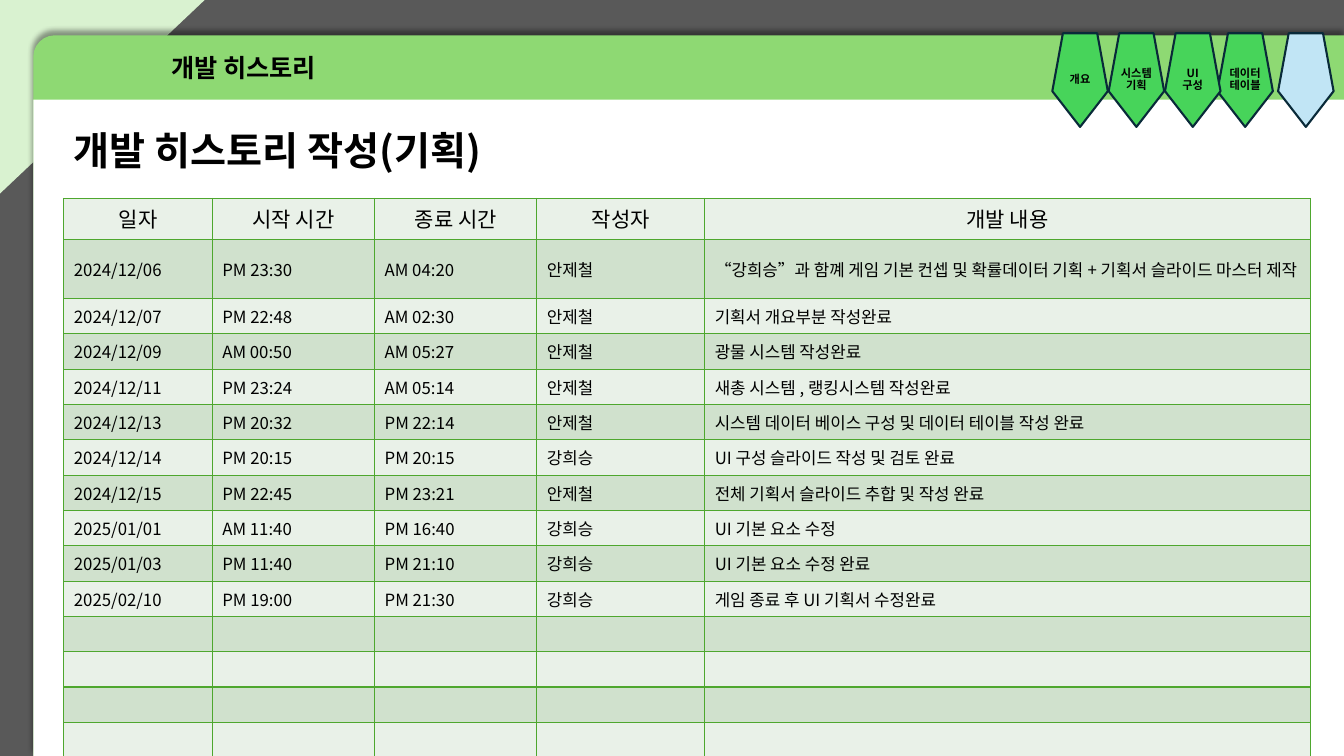
import pptx
import pptx.dml.color
import pptx.enum.shapes
import pptx.enum.text
import pptx.oxml
import pptx.oxml.ns
import pptx.util
from pptx.util import Cm

RGBColor = pptx.dml.color.RGBColor
SHAPE = pptx.enum.shapes.MSO_SHAPE
ANCHOR = pptx.enum.text.MSO_ANCHOR
ALIGN = pptx.enum.text.PP_ALIGN

BLACK = RGBColor(0x00, 0x00, 0x00)
WHITE = RGBColor(0xFF, 0xFF, 0xFF)
GRAY = RGBColor(0x59, 0x59, 0x59)
PALE_GREEN = RGBColor(0xD9, 0xF2, 0xD0)
BAND_GREEN = RGBColor(0x8E, 0xD9, 0x73)
TAB_GREEN = RGBColor(0x47, 0xD4, 0x5A)
TAB_BLUE = RGBColor(0xC1, 0xE5, 0xF5)
TAB_OUTLINE = RGBColor(0x09, 0x2A, 0x39)
TITLE_OUTLINE = RGBColor(0x92, 0xD0, 0x50)
GRID_GREEN = RGBColor(0x4E, 0xA7, 0x2E)
ROW_FILLS = (RGBColor(0xE9, 0xF1, 0xE8), RGBColor(0xD0, 0xE1, 0xCD))

FONT = "Noto Sans CJK KR"
SLIDE_WIDTH, SLIDE_HEIGHT = 33.87, 19.05
PANEL_LEFT, PANEL_TOP, BAND_BOTTOM = 0.84, 0.89, 2.51
TAB_TOP, TAB_WIDTH, TAB_HEIGHT = 0.84, 1.4, 2.36

# left edge, label, label width
TABS = [
    (26.52, "개요", 1.22),
    (27.94, "시스템기획", 1.47),
    (29.36, "UI\n구성", 1.22),
    (30.68, "데이터테이블", 1.47),
]
EMPTY_TAB_LEFT = 32.21

COLUMN_WIDTHS = (3.74, 4.09, 4.09, 4.23, 15.27)
HEADER_HEIGHT, ROW_HEIGHT = 1.04, 0.89
EMPTY_ROWS = 4
HEADERS = ("일자", "시작 시간", "종료 시간", "작성자", "개발 내용")
HISTORY = [
    ("2024/12/06", "PM 23:30", "AM 04:20", "안제철",
     "“강희승”과 함꼐 게임 기본 컨셉 및 확률데이터 기획 + 기획서 슬라이드 마스터 제작"),
    ("2024/12/07", "PM 22:48", "AM 02:30", "안제철", "기획서 개요부분 작성완료"),
    ("2024/12/09", "AM 00:50", "AM 05:27", "안제철", "광물 시스템 작성완료"),
    ("2024/12/11", "PM 23:24", "AM 05:14", "안제철", "새총 시스템 , 랭킹시스템 작성완료"),
    ("2024/12/13", "PM 20:32", "PM 22:14", "안제철",
     "시스템 데이터 베이스 구성 및 데이터 테이블 작성 완료"),
    ("2024/12/14", "PM 20:15", "PM 20:15", "강희승", "UI 구성 슬라이드 작성 및 검토 완료"),
    ("2024/12/15", "PM 22:45", "PM 23:21", "안제철", "전체 기획서 슬라이드 추합 및 작성 완료"),
    ("2025/01/01", "AM 11:40", "PM 16:40", "강희승", "UI 기본 요소 수정"),
    ("2025/01/03", "PM 11:40", "PM 21:10", "강희승", "UI 기본 요소 수정 완료"),
    ("2025/02/10", "PM 19:00", "PM 21:30", "강희승", "게임 종료 후 UI 기획서 수정완료"),
]


def add_xml(parent, xml):
    """Append an element written with the a: prefix."""
    head, rest = xml.split(" ", 1)
    namespace = pptx.oxml.ns.nsdecls("a")
    element = pptx.oxml.parse_xml(f"{head} {namespace} {rest}")
    parent.append(element)


def add_panel(slide, preset, left, top, width, height, fill, flip=None):
    shape = slide.shapes.add_shape(preset, Cm(left), Cm(top), Cm(width), Cm(height))
    shape.shadow.inherit = False
    shape.fill.solid()
    shape.fill.fore_color.rgb = fill
    shape.line.fill.background()
    if flip:
        shape._element.spPr.xfrm.set(flip, "1")
    return shape


def add_tab(slide, left, fill):
    tab = add_panel(slide, SHAPE.REGULAR_PENTAGON, left, TAB_TOP, TAB_WIDTH,
                    TAB_HEIGHT, fill, "flipV")
    tab.line.color.rgb = TAB_OUTLINE
    tab.line.width = pptx.util.Pt(1.5)


def add_backdrop(slide):
    add_panel(slide, SHAPE.RECTANGLE, 0, 0, SLIDE_WIDTH, SLIDE_HEIGHT, GRAY)
    add_panel(slide, SHAPE.RIGHT_TRIANGLE, 0, 0, 5.16, 4.88, PALE_GREEN, "flipV")
    width = SLIDE_WIDTH - PANEL_LEFT
    band = add_panel(slide, SHAPE.ROUND_1_RECTANGLE, PANEL_LEFT, PANEL_TOP, width,
                     SLIDE_HEIGHT - PANEL_TOP, BAND_GREEN, "flipH")
    band.adjustments[0] = 0.03
    effects = band._element.spPr.find(pptx.oxml.ns.qn("a:effectLst"))
    add_xml(effects, '<a:outerShdw blurRad="50800" dist="38100" dir="16200000">'
                     '<a:srgbClr val="000000"><a:alpha val="40000"/></a:srgbClr>'
                     '</a:outerShdw>')
    add_panel(slide, SHAPE.RECTANGLE, PANEL_LEFT, BAND_BOTTOM, width,
              SLIDE_HEIGHT - BAND_BOTTOM, WHITE)


def format_paragraph(paragraph, size, bold=False, alignment=ALIGN.LEFT):
    paragraph.alignment = alignment
    font = paragraph.font
    font.name = FONT
    font.size = pptx.util.Pt(size)
    font.bold = bold
    font.color.rgb = BLACK
    add_xml(font._element, f'<a:ea typeface="{FONT}"/>')


def fill_text(shape, text, size, alignment=ALIGN.CENTER, anchor=ANCHOR.MIDDLE):
    """Write one bold paragraph with the spacing shared by all headings."""
    frame = shape.text_frame
    frame.word_wrap = True
    frame.auto_size = pptx.enum.text.MSO_AUTO_SIZE.NONE
    frame.vertical_anchor = anchor
    paragraph = frame.paragraphs[0]
    paragraph.text = text
    paragraph.line_spacing = 0.9
    paragraph.space_before = pptx.util.Pt(10)
    format_paragraph(paragraph, size, True, alignment)


def add_label(slide, left, top, width, height, text, size):
    box = slide.shapes.add_textbox(Cm(left), Cm(top), Cm(width), Cm(height))
    fill_text(box, text, size)


def place_title(slide, text):
    title = slide.shapes.title
    title.left, title.top, title.width, title.height = Cm(1.6), Cm(3.2), Cm(12.04), Cm(1.4)
    fill_text(title, text, 28, ALIGN.LEFT, ANCHOR.TOP)
    properties = title.text_frame.paragraphs[0].runs[0].font._element
    add_xml(properties, f'<a:ln w="9525"><a:solidFill><a:srgbClr val="{TITLE_OUTLINE}"/>'
                        '</a:solidFill></a:ln>')
    slide.shapes._spTree.append(title._element)  # in front of the backdrop


def format_cell(cell, text, fill, is_header):
    size = 15 if is_header else 12
    paragraph = cell.text_frame.paragraphs[0]
    paragraph.text = text
    format_paragraph(paragraph, size, alignment=ALIGN.CENTER if is_header else ALIGN.LEFT)
    if not text:
        paragraph._p.get_or_add_endParaRPr().set("sz", str(size * 100))
    cell.vertical_anchor = ANCHOR.TOP if is_header else ANCHOR.MIDDLE
    for side in "LRTB":
        add_xml(cell._tc.get_or_add_tcPr(),
                f'<a:ln{side} w="12700"><a:solidFill><a:srgbClr val="{GRID_GREEN}"/>'
                f'</a:solidFill></a:ln{side}>')
    cell.fill.solid()
    cell.fill.fore_color.rgb = fill


def add_history_table(slide):
    rows = [HEADERS] + HISTORY + [("",) * len(HEADERS)] * EMPTY_ROWS
    height = HEADER_HEIGHT + ROW_HEIGHT * (len(rows) - 1)
    table = slide.shapes.add_table(len(rows), len(HEADERS), Cm(1.61), Cm(5),
                                   Cm(sum(COLUMN_WIDTHS)), Cm(height)).table
    table.first_row = table.horz_banding = False
    for column, width in zip(table.columns, COLUMN_WIDTHS):
        column.width = Cm(width)
    for index, texts in enumerate(rows):
        table.rows[index].height = Cm(ROW_HEIGHT if index else HEADER_HEIGHT)
        for column, text in enumerate(texts):
            format_cell(table.cell(index, column), text, ROW_FILLS[index % 2], index == 0)


def main():
    presentation = pptx.Presentation()
    presentation.slide_width = Cm(SLIDE_WIDTH)
    presentation.slide_height = Cm(SLIDE_HEIGHT)
    slide = presentation.slides.add_slide(presentation.slide_layouts[5])
    add_backdrop(slide)
    add_tab(slide, EMPTY_TAB_LEFT, TAB_BLUE)
    for left, _, _ in reversed(TABS):
        add_tab(slide, left, TAB_GREEN)
    place_title(slide, "개발 히스토리 작성(기획)")
    add_label(slide, 0.97, 0.99, 10.34, 1.5, "개발 히스토리", 18)
    for left, text, width in TABS:
        add_label(slide, left + (TAB_WIDTH - width) / 2, 1.27, width, 1.5, text, 8)
    add_history_table(slide)
    presentation.save("out.pptx")


if __name__ == "__main__":
    main()
